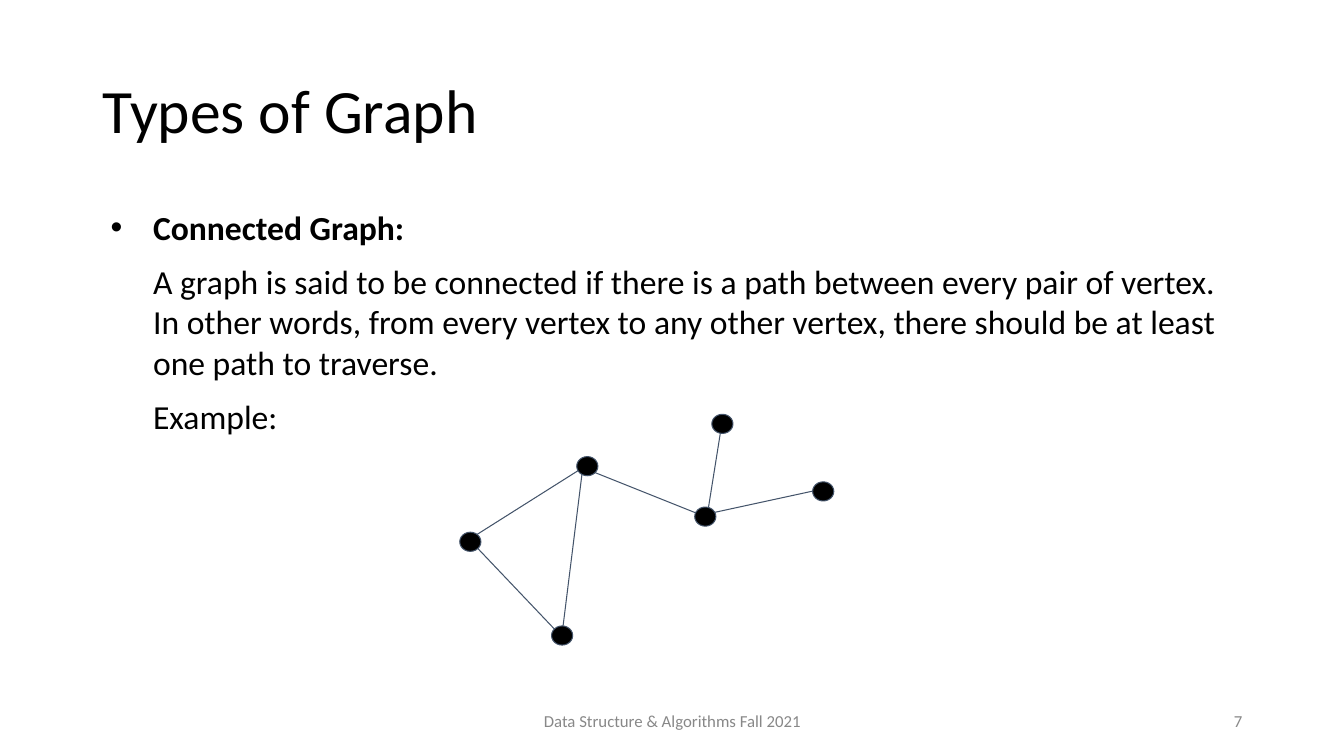
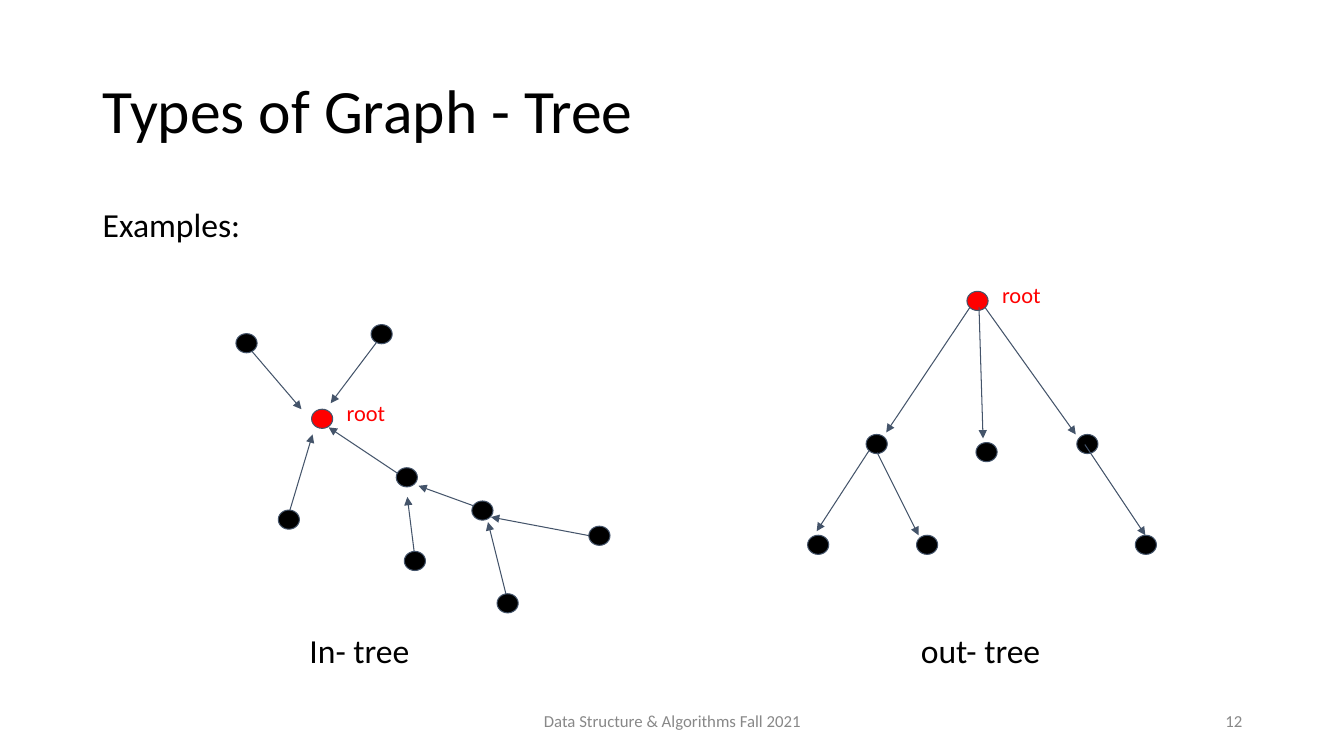
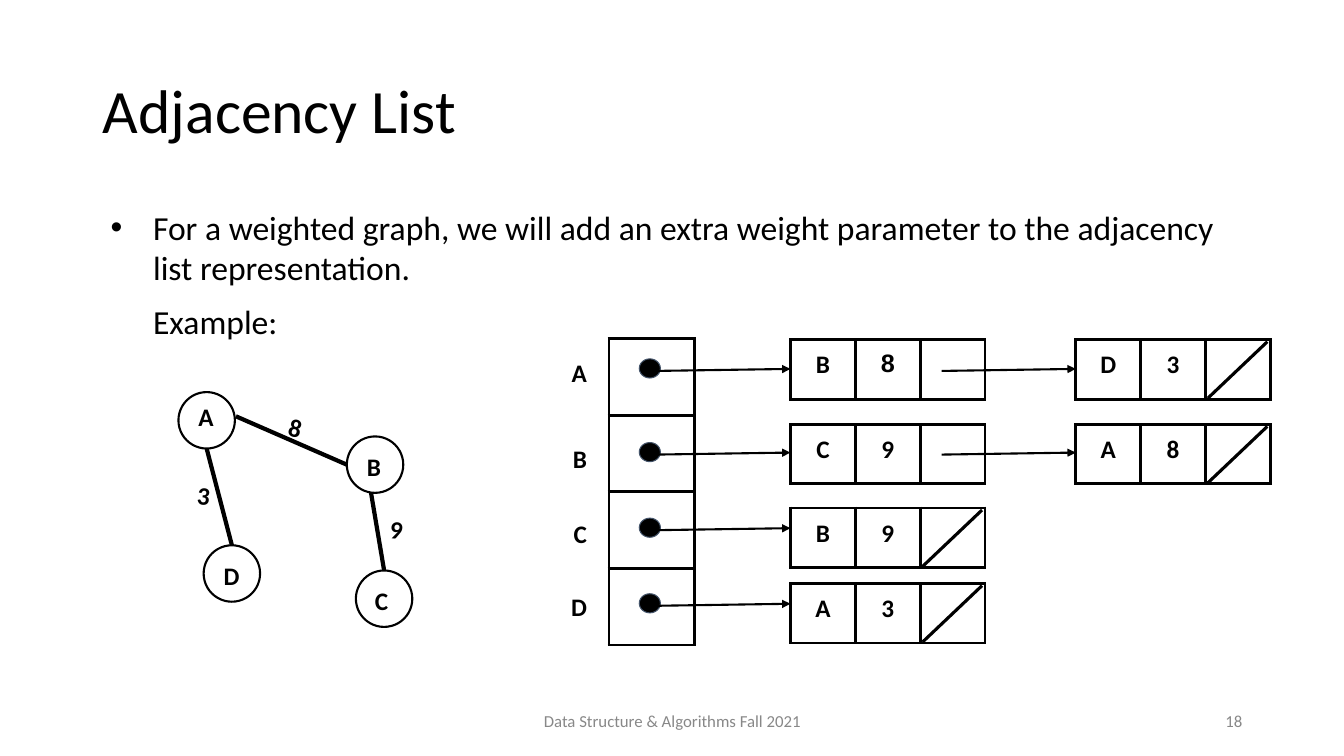
from lxml import etree
from pptx import Presentation
from pptx.dml.color import RGBColor
from pptx.enum.shapes import MSO_CONNECTOR, MSO_SHAPE
from pptx.enum.text import MSO_ANCHOR, MSO_AUTO_SIZE, PP_ALIGN
from pptx.oxml.ns import qn
from pptx.util import Inches, Pt

LEFT, CENTER, RIGHT = PP_ALIGN.LEFT, PP_ALIGN.CENTER, PP_ALIGN.RIGHT
TOP, MIDDLE = MSO_ANCHOR.TOP, MSO_ANCHOR.MIDDLE
NO_AUTOFIT = MSO_AUTO_SIZE.NONE
STRAIGHT = MSO_CONNECTOR.STRAIGHT
ELLIPSE, TRIANGLE = MSO_SHAPE.OVAL, MSO_SHAPE.ISOSCELES_TRIANGLE
CIRCLE = MSO_SHAPE.FLOWCHART_CONNECTOR

BLACK, RED, GRAY, SLATE = "000000", "FF0000", "888888", "44546A"
FONT = "Calibri"
FOOTER = "Data Structure & Algorithms Fall 2021"
DOT_SIZE = (0.21, 0.19)
RECORD_WIDTH, RECORD_HEIGHT = 1.93, 0.59


def rgb(value):
    return RGBColor.from_string(value)


def inches(values):
    return [Inches(value) for value in values]


class Deck:
    """Holds the presentation, its style and the slide being built."""

    def __init__(self):
        self.presentation = Presentation()
        self.presentation.slide_width = Inches(13.33)
        self.presentation.slide_height = Inches(7.5)
        self.slide = None

    def format_runs(self, paragraph, size, color=BLACK, bold=False):
        for run in paragraph.runs:
            run.font.name = FONT
            run.font.size = Pt(size)
            run.font.bold = bold
            run.font.color.rgb = rgb(color)

    def set_margins(self, target, vertical):
        target.margin_left = target.margin_right = Inches(0.1)
        target.margin_top = target.margin_bottom = Inches(vertical)

    def new_slide(self, title, number):
        layout = self.presentation.slide_layouts[5]
        self.slide = self.presentation.slides.add_slide(layout)
        shape = self.slide.shapes.title
        shape.left, shape.top, shape.width, shape.height = inches((0.92, 0.4, 11.5, 1.45))
        frame = shape.text_frame
        frame.text = title
        frame.auto_size = NO_AUTOFIT
        frame.vertical_anchor = MIDDLE
        self.set_margins(frame, 0.05)
        paragraph = frame.paragraphs[0]
        paragraph.alignment = LEFT
        paragraph.line_spacing = 0.9
        self.format_runs(paragraph, 44)
        self.text(FOOTER, (4.42, 6.95, 4.5, 0.4), 12, GRAY, align=CENTER, anchor=MIDDLE, margin=0.05)
        self.text(str(number), (9.42, 6.95, 3, 0.4), 12, GRAY, align=RIGHT, anchor=MIDDLE, margin=0.05)

    def text(self, text, box, size, color=BLACK, bold=False, align=LEFT,
             anchor=TOP, margin=0.1, rotation=0):
        shape = self.slide.shapes.add_textbox(*inches(box))
        shape.rotation = rotation
        frame = shape.text_frame
        frame.word_wrap = True
        frame.vertical_anchor = anchor
        self.set_margins(frame, margin)
        frame.text = text
        for paragraph in frame.paragraphs:
            paragraph.alignment = align
            self.format_runs(paragraph, size, color, bold)
        return frame

    def body(self, lines, bold_lead=False):
        """Adds a bulleted first line with indented lines below it."""
        frame = self.text("\n".join(lines), (0.92, 2, 11.5, 4.76), 24, margin=0.05)
        for index, paragraph in enumerate(frame.paragraphs):
            paragraph.space_before = Pt(10)
            properties = paragraph._p.get_or_add_pPr()
            properties.set("marL", str(Inches(0.5)))
            properties.set("indent", str(0 if index else Inches(-0.42)))
        lead = frame.paragraphs[0]
        self.format_runs(lead, 24, bold=bold_lead)
        properties = lead._p.get_or_add_pPr()
        etree.SubElement(properties, qn("a:buFont"), typeface="Arial")
        etree.SubElement(properties, qn("a:buChar"), char="•")

    def outline(self, kind, box, color, width, fill=None, rotation=0):
        shape = self.slide.shapes.add_shape(kind, *inches(box))
        shape.shadow.inherit = False
        shape.rotation = rotation
        shape.line.color.rgb = rgb(color)
        shape.line.width = Pt(width)
        if fill:
            shape.fill.solid()
            shape.fill.fore_color.rgb = rgb(fill)
        else:
            shape.fill.background()

    def dots(self, corners, fill=BLACK):
        for corner in corners:
            self.outline(ELLIPSE, (*corner, *DOT_SIZE), SLATE, 0.75, fill)

    def lines(self, ends, color=SLATE, width=0.75, arrow=False):
        """Draws a straight line for each (x1, y1, x2, y2)."""
        for points in ends:
            connector = self.slide.shapes.add_connector(STRAIGHT, *inches(points))
            connector.line.color.rgb = rgb(color)
            connector.line.width = Pt(width)
            if arrow:
                etree.SubElement(connector.line._get_or_add_ln(), qn("a:tailEnd"), type="triangle")
            etree.SubElement(connector._element.spPr, qn("a:effectLst"))

    def table(self, rows, box):
        shape = self.slide.shapes.add_table(len(rows), len(rows[0]), *inches(box))
        table = shape.table
        table.first_row = table.horz_banding = False
        for row_index, row in enumerate(rows):
            for column_index, text in enumerate(row):
                cell = table.cell(row_index, column_index)
                cell.text = text
                cell.fill.background()
                self.set_margins(cell, 0.1)
                paragraph = cell.text_frame.paragraphs[0]
                paragraph.alignment = CENTER
                self.format_runs(paragraph, 18, bold=True)
                self.border(cell)
        return table

    def border(self, cell):
        properties = cell._tc.get_or_add_tcPr()
        for index, side in enumerate(("lnL", "lnR", "lnT", "lnB")):
            line = etree.Element(qn("a:" + side), w=str(Pt(2.25)))
            fill = etree.SubElement(line, qn("a:solidFill"))
            etree.SubElement(fill, qn("a:srgbClr"), val=BLACK)
            properties.insert(index, line)

    def record(self, vertex, weight, left, top, last):
        """Adds a list record; the last one of a row has its pointer struck out."""
        table = self.table([(vertex, weight, "")], (left, top, RECORD_WIDTH, RECORD_HEIGHT))
        if last:
            self.lines([(left + 1.9, top + 0.02, left + 1.31, top + 0.58)], BLACK, 2.25)
        return table


def connected_graph(deck):
    deck.new_slide("Types of Graph", 7)
    deck.body([
        "Connected Graph:",
        "A graph is said to be connected if there is a path between every pair of vertex. "
        "In other words, from every vertex to any other vertex, there should be at least "
        "one path to traverse.",
        "Example:",
    ], bold_lead=True)
    deck.outline(TRIANGLE, (4.32, 4.9, 1.69, 1.03), SLATE, 0.75, rotation=277.1)
    deck.lines([(5.78, 4.64, 7.03, 5.14), (7.01, 5.14, 7.16, 4.2), (7.01, 5.1, 8.21, 4.84)])
    deck.dots([(5.47, 6.21), (4.56, 5.28), (5.72, 4.53), (6.89, 5.03), (7.06, 4.11), (8.06, 4.78)])


def tree_examples(deck):
    deck.new_slide("Types of Graph - Tree", 12)
    examples = deck.text("Examples:", (0.92, 2.02, 11.5, 4.76), 24, margin=0.05).paragraphs[0]
    examples.space_before = Pt(10)
    examples.line_spacing = 0.9

    deck.lines([
        (2.46, 3.44, 2.99, 4.06), (3.77, 3.35, 3.28, 4), (2.84, 5.18, 3.1, 4.31),
        (4.04, 4.76, 3.26, 4.24), (4.13, 5.65, 4.04, 4.93), (4.84, 5.07, 4.15, 4.82),
        (5.04, 5.98, 4.84, 5.18), (5.98, 5.34, 4.87, 5.13),
    ], arrow=True)
    deck.dots([(3.68, 3.22), (2.34, 3.31), (3.93, 4.64), (2.76, 5.06),
               (4.01, 5.47), (4.68, 4.97), (4.93, 5.89), (5.84, 5.22)])

    roots = [(3.09, 4.06), (9.59, 2.89)]
    deck.dots(roots, RED)
    for left, top in roots:
        deck.text("root", (left + 0.25, top - 0.2, 0.89, 0.47), 16, RED)

    deck.lines([(9.62, 3.05, 8.79, 4.29), (9.77, 3.05, 10.67, 4.31), (9.71, 3.05, 9.75, 4.35)], arrow=True)
    deck.dots([(8.59, 4.31), (9.68, 4.39), (10.68, 4.31)])
    deck.lines([(8.62, 4.47, 8.1, 5.27), (8.7, 4.49, 9.11, 5.31), (10.76, 4.41, 11.36, 5.31)], arrow=True)
    deck.dots([(left, 5.31) for left in (8.01, 9.09, 11.26)])

    for caption, left in (("In- tree", 2.66), ("out- tree", 8.82)):
        deck.text(caption, (left, 6.14, 1.81, 0.61), 24, align=CENTER, anchor=MIDDLE)


def adjacency_list(deck):
    deck.new_slide("Adjacency List", 18)
    deck.body([
        "For a weighted graph, we will add an extra weight parameter to the adjacency "
        "list representation.",
        "Example:",
    ])

    vertices = [
        ("A", (1.77, 3.89), (1.87, 3.88)), ("B", (3.44, 4.33), (3.54, 4.38)),
        ("D", (2.02, 5.41), (2.12, 5.46)), ("C", (3.53, 5.66), (3.62, 5.71)),
    ]
    for name, circle, label in vertices:
        deck.outline(CIRCLE, (*circle, 0.56, 0.56), BLACK, 1.5)
        deck.text(name, (*label, 0.36, 0.5), 18, bold=True)
    deck.lines([(2.05, 4.45, 2.3, 5.41), (3.68, 4.89, 3.81, 5.66), (2.34, 4.13, 3.44, 4.61)], BLACK, 3)
    for weight, left, top, angle in (("8", 2.77, 4, 14.6), ("9", 3.77, 5, 6), ("3", 1.86, 4.67, 6)):
        deck.text(weight, (left, top, 0.4, 0.5), 18, bold=True, rotation=angle)

    deck.table([("",)] * 4, (6.04, 3.36, 0.85, 3.04))
    record_lefts = (7.84, 10.67)
    arrow_starts = (6.5, 9.34)
    rows = [
        ("A", 3.44, 3.56, 3.37, [("B", "8"), ("D", "3")]),
        ("B", 4.3, 4.39, 4.21, [("C", "9"), ("A", "8")]),
        ("C", 5.04, 5.14, 5.04, [("B", "9")]),
        ("D", 5.77, 5.89, 5.79, [("A", "3")]),
    ]
    tables = []
    for name, label_top, dot_top, record_top, neighbours in rows:
        deck.text(name, (5.26, label_top, 0.66, 0.5), 18, bold=True, align=RIGHT)
        deck.dots([(6.34, dot_top)])
        for index, (vertex, weight) in enumerate(neighbours):
            left = record_lefts[index]
            last = index == len(neighbours) - 1
            tables.append(deck.record(vertex, weight, left, record_top, last))
            deck.lines([(arrow_starts[index], dot_top + 0.12, left, dot_top + 0.1)], BLACK, 1.5, arrow=True)
    first_weight = tables[0].cell(0, 1).text_frame.paragraphs[0].runs[0]
    first_weight.font.name = "Arial"


def main():
    deck = Deck()
    connected_graph(deck)
    tree_examples(deck)
    adjacency_list(deck)
    deck.presentation.save("out.pptx")


if __name__ == "__main__":
    main()
